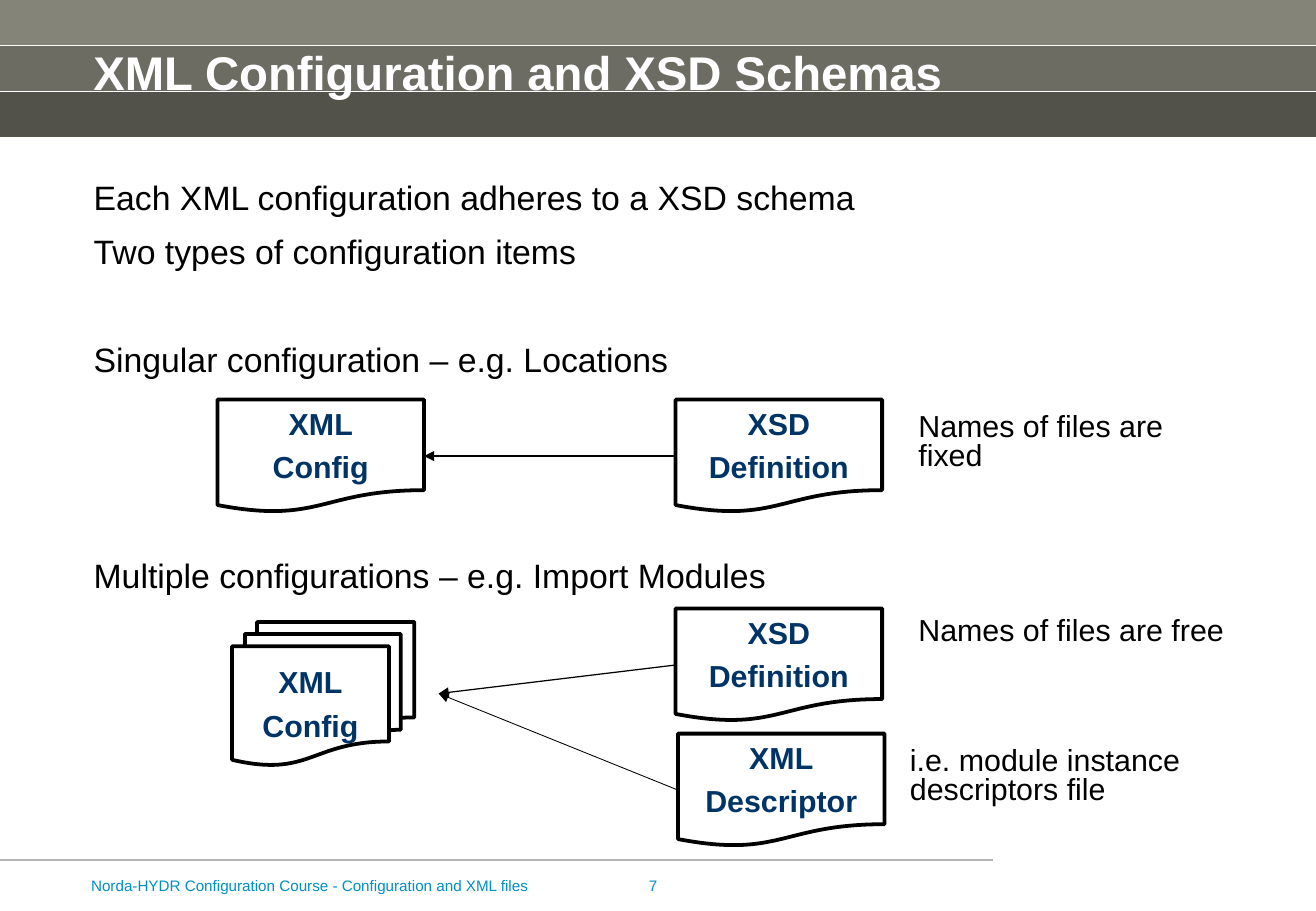
from lxml import etree
from pptx import Presentation
from pptx.dml.color import RGBColor
from pptx.enum.shapes import MSO_CONNECTOR, MSO_SHAPE
from pptx.enum.text import MSO_ANCHOR, PP_ALIGN
from pptx.oxml.ns import qn
from pptx.util import Inches, Pt

RECT = MSO_SHAPE.RECTANGLE
DOCUMENT = MSO_SHAPE.FLOWCHART_DOCUMENT
DOCUMENT_STACK = MSO_SHAPE.FLOWCHART_MULTIDOCUMENT
STRAIGHT = MSO_CONNECTOR.STRAIGHT
LEFT, CENTER, RIGHT = PP_ALIGN.LEFT, PP_ALIGN.CENTER, PP_ALIGN.RIGHT
TOP, MIDDLE = MSO_ANCHOR.TOP, MSO_ANCHOR.MIDDLE
LEFT_SIDE, RIGHT_SIDE = 1, 3

# Content
WIDTH, HEIGHT = 10.83, 7.5
FONT = "Arial"
COLORS = {"band": "A6A698", "shade": "000000", "rule": "FFFFFF",
          "footer_rule": "B2B2B2", "footer": "008FC5", "title": "FFFFFF",
          "text": "000000", "label": "003366", "outline": "000000"}
BAND_HEIGHT = 1.13
BAND_OPACITIES = [20, 35, 50]
TITLE = "XML Configuration and XSD Schemas"
# Body lines with the number of empty rows above each
BODY = [("Each XML configuration adheres to a XSD schema", 0),
        ("Two types of configuration items", 0),
        ("Singular configuration – e.g. Locations", 1),
        ("Multiple configurations – e.g. Import Modules", 3)]
BODY_GAP, BODY_ROW = 12.9, 31.9
# Key: preset, box, label lines
DOCUMENTS = {
    "single_config": (DOCUMENT, (1.79, 3.29, 1.7, 0.93), ["XML", "Config"]),
    "multi_config": (DOCUMENT_STACK, (1.91, 5.12, 1.5, 1.18), ["XML", "Config"]),
    "single_xsd": (DOCUMENT, (5.56, 3.29, 1.7, 0.93), ["XSD", "Definition"]),
    "multi_xsd": (DOCUMENT, (5.56, 5.01, 1.7, 0.93), ["XSD", "Definition"]),
    "descriptor": (DOCUMENT, (5.58, 6.04, 1.7, 0.93), ["XML", "Descriptor"]),
}
MULTI_TIP = (3.61, 5.71)
# Source document, target document or point, line width
ARROWS = [("single_xsd", "single_config", 0.75),
          ("multi_xsd", MULTI_TIP, 0.75),
          ("descriptor", MULTI_TIP, 0.5)]
NOTES = [("Names of files are fixed", (7.46, 3.36, 2.76, 0.58)),
         ("Names of files are free", (7.46, 5.04, 2.76, 0.34)),
         ("i.e. module instance descriptors file", (7.39, 6.11, 2.76, 0.58))]
FOOTERS = [("Norda-HYDR Configuration Course - Configuration and XML files",
            (0.75, 7.23, 4.27, 0.35), LEFT),
           ("7", (4.9, 7.23, 0.51, 0.35), RIGHT)]

prs = Presentation()
prs.slide_width, prs.slide_height = Inches(WIDTH), Inches(HEIGHT)
slide = prs.slides.add_slide(prs.slide_layouts[6])


def rgb(name):
    return RGBColor.from_string(COLORS[name])


def inches(values):
    return [Inches(value) for value in values]


def write(shape, lines, size, color, bold=False, align=LEFT, spacing=1.0,
          befores=None, after=0, anchor=TOP, wrap=True, inset=True):
    frame = shape.text_frame
    frame.word_wrap, frame.vertical_anchor = wrap, anchor
    if not inset:
        frame.margin_left = frame.margin_right = 0
        frame.margin_top = frame.margin_bottom = 0
    for i, line in enumerate(lines):
        paragraph = frame.add_paragraph() if i else frame.paragraphs[0]
        paragraph.alignment, paragraph.line_spacing = align, spacing
        paragraph.space_before = Pt(befores[i] if befores else 0)
        paragraph.space_after = Pt(after)
        run = paragraph.add_run()
        run.text = line
        run.font.name, run.font.size, run.font.bold = FONT, Pt(size), bold
        run.font.color.rgb = rgb(color)


def add_text(box, lines, size, color, **style):
    write(slide.shapes.add_textbox(*inches(box)), lines, size, color, **style)


def add_band(top, height, color, opacity=100):
    band = slide.shapes.add_shape(RECT, *inches((0, top, WIDTH, height)))
    band.shadow.inherit = False
    band.fill.solid()
    band.fill.fore_color.rgb = rgb(color)
    band.line.fill.background()
    if opacity < 100:
        fill_color = band.fill._xPr.find(qn("a:solidFill"))[0]
        etree.SubElement(fill_color, qn("a:alpha")).set("val", str(opacity * 1000))


def add_line(start, end, color, width, arrow=False):
    line = slide.shapes.add_connector(STRAIGHT, *inches((*start, *end)))
    line.line.color.rgb, line.line.width = rgb(color), Pt(width)
    properties = line._element.spPr
    if arrow:
        etree.SubElement(properties.find(qn("a:ln")), qn("a:tailEnd")).set("type", "triangle")
    etree.SubElement(properties, qn("a:effectLst"))
    return line


# Header bands and rules
add_band(0, BAND_HEIGHT, "band")
step = BAND_HEIGHT / len(BAND_OPACITIES)
for i, opacity in enumerate(BAND_OPACITIES):
    add_band(i * step, step, "shade", opacity)
for i in range(1, len(BAND_OPACITIES) + 1):
    add_line((0, i * step), (WIDTH, i * step), "rule", 0.75)

# Footer
add_line((8.17, 7.08), (0, 7.08), "footer_rule", 0.75)
for footer, box, align in FOOTERS:
    add_text(box, [footer], 9, "footer", align=align, spacing=0.92, inset=False)

# Title and body
add_text((0.67, 0.4, 9.17, 0.85), [TITLE], 28, "title", bold=True, spacing=0.8)
add_text((0.77, 1.52, 9.21, 4.91), [line for line, _ in BODY], 20, "text",
         spacing=0.8, after=BODY_GAP, inset=False,
         befores=[rows * BODY_ROW for _, rows in BODY])

# Documents
documents = {}
for key, (preset, box, label) in DOCUMENTS.items():
    document = slide.shapes.add_shape(preset, *inches(box))
    document.shadow.inherit = False
    document.fill.background()
    document.line.color.rgb, document.line.width = rgb("outline"), Pt(2.25)
    write(document, label, 18, "label", bold=True, align=CENTER,
          befores=[0, 4.3], anchor=MIDDLE, wrap=False)
    documents[key] = document

# Arrows from schemas to configurations
for source, target, width in ARROWS:
    to_document = target in documents
    tip = (0, 0) if to_document else target
    arrow = add_line((0, 0), tip, "outline", width, arrow=True)
    arrow.begin_connect(documents[source], LEFT_SIDE)
    if to_document:
        arrow.end_connect(documents[target], RIGHT_SIDE)

# Notes beside the documents
for note, box in NOTES:
    add_text(box, [note], 18, "text", spacing=0.8)

prs.save("out.pptx")
